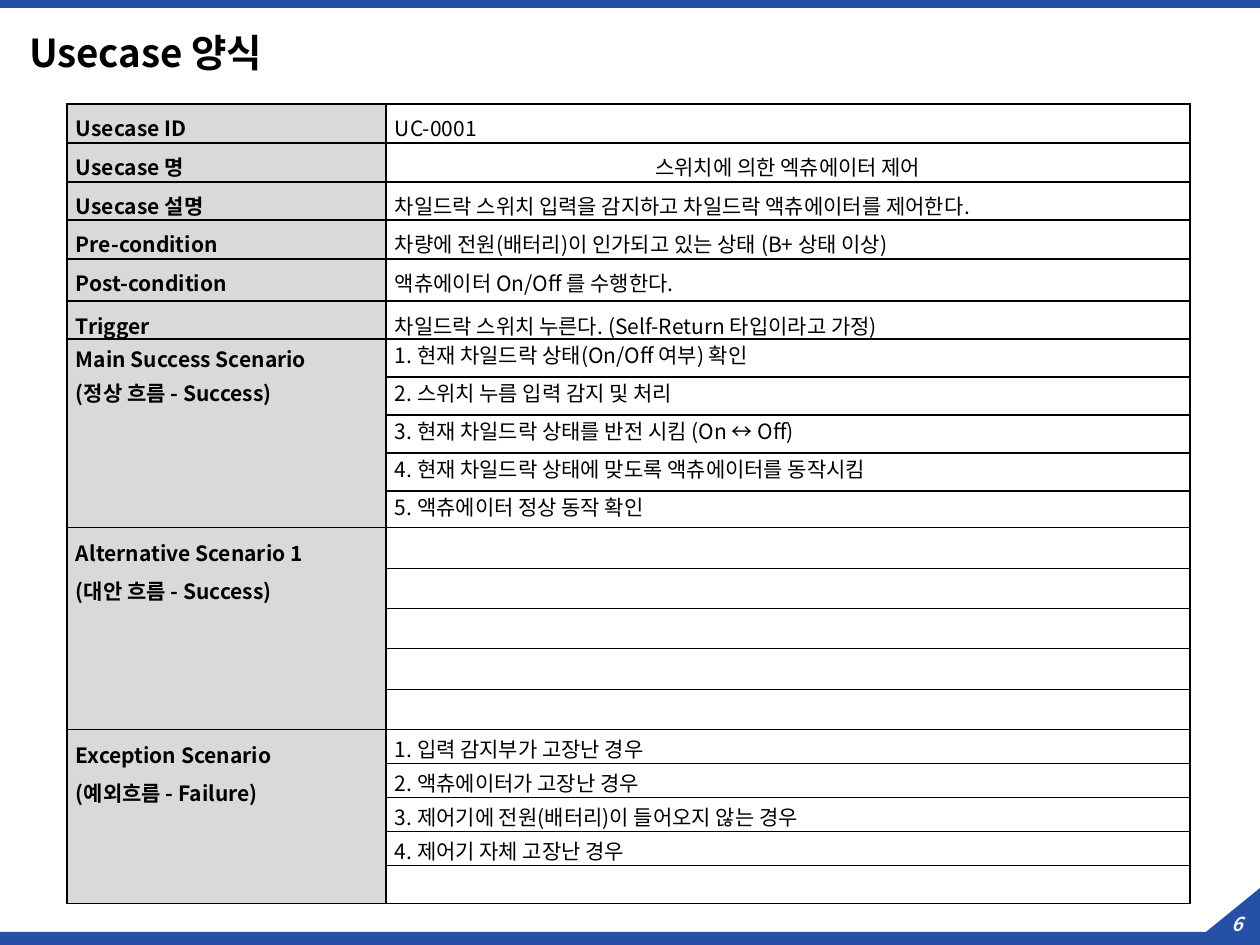
"""Build the use case form slide: a titled two-column table in a blue page frame."""
from lxml import etree
from pptx import Presentation
from pptx.dml.color import RGBColor
from pptx.enum.shapes import MSO_SHAPE
from pptx.enum.text import MSO_ANCHOR, PP_ALIGN
from pptx.oxml.ns import qn
from pptx.util import Emu, Pt

RECTANGLE = MSO_SHAPE.RECTANGLE
MIDDLE = MSO_ANCHOR.MIDDLE
CENTER = PP_ALIGN.CENTER
LEFT = PP_ALIGN.LEFT

FONT = "Noto Sans CJK KR"
BLUE = RGBColor(0x25, 0x50, 0xA6)
GREY = RGBColor(0xD9, 0xD9, 0xD9)
PALE = RGBColor(0xF2, 0xF2, 0xF2)
BLACK = RGBColor(0, 0, 0)

TITLE = "Usecase 양식"
PAGE_NUMBER = "6"

# label, value, row height, top inset
FIELDS = [
    ("Usecase ID", "UC-0001", 39, 8),
    ("Usecase 명", "스위치에 의한 엑츄에이터 제어", 39, 8),
    ("Usecase 설명", "차일드락 스위치 입력을 감지하고 차일드락 액츄에이터를 제어한다.", 38, 8),
    ("Pre-condition", "차량에 전원(배터리)이 인가되고 있는 상태 (B+ 상태 이상)", 39, 8),
    ("Post-condition", "액츄에이터 On/Off 를 수행한다.", 42, 8),
    ("Trigger", "차일드락 스위치 누른다. (Self-Return 타입이라고 가정)", 38, 9),
]
CENTERED_FIELD = "Usecase 명"

SCENARIOS = [
    {
        "label": "Main Success Scenario\n(정상 흐름 - Success)",
        "label_format": {"inset": 10, "before": 5.6, "line": 13.9},
        "steps": [
            "1. 현재 차일드락 상태(On/Off 여부) 확인",
            "2. 스위치 누름 입력 감지 및 처리",
            "3. 현재 차일드락 상태를 반전 시킴 (On ↔ Off)",
            "4. 현재 차일드락 상태에 맞도록 액츄에이터를 동작시킴",
            "5. 액츄에이터 정상 동작 확인",
        ],
        "step_format": {"inset": 6, "before": 3.5, "line": 14.3},
        "heights": [38, 38, 38, 38, 37],
    },
    {
        "label": "Alternative Scenario 1\n(대안 흐름 - Success)",
        "label_format": {"inset": 9},
        "steps": [""] * 5,
        "step_format": {"inset": 0},
        "heights": [41, 40, 40, 41, 40],
    },
    {
        "label": "Exception Scenario\n(예외흐름 - Failure)",
        "label_format": {"inset": 9},
        "steps": [
            "1. 입력 감지부가 고장난 경우",
            "2. 액츄에이터가 고장난 경우",
            "3. 제어기에 전원(배터리)이 들어오지 않는 경우",
            "4. 제어기 자체 고장난 경우",
            "",
        ],
        "step_format": {"inset": 9, "line": 14.2},
        "heights": [33, 33, 33, 33, 38],
    },
]

COLUMN_WIDTHS = [319, 804]
TABLE_LEFT, TABLE_TOP = 67, 104
FOOTER_OUTLINE = [(1260, 888), (1260, 946), (0, 946), (0, 932), (1206, 932)]


def px(length):
    return Emu(round(length * 914400 / 126))


def style_run(run, size, color, bold=False, italic=False):
    font = run.font
    font.name, font.size, font.bold, font.italic = FONT, Pt(size), bold, italic
    font.color.rgb = color
    etree.SubElement(run._r.get_or_add_rPr(), qn("a:ea"), typeface=FONT)


def paint(shape):
    shape.fill.solid()
    shape.fill.fore_color.rgb = BLUE
    shape.line.fill.background()
    shape.shadow.inherit = False


def add_caption(slide, box, text, inset, align, **look):
    frame = slide.shapes.add_textbox(*map(px, box)).text_frame
    frame.word_wrap = True
    frame.vertical_anchor = MIDDLE
    frame.margin_left = frame.margin_right = px(inset)
    frame.margin_top = frame.margin_bottom = 0
    frame.text = text
    paragraph = frame.paragraphs[0]
    paragraph.alignment = align
    style_run(paragraph.runs[0], **look)
    return paragraph


def add_borders(cell):
    properties = cell._tc.get_or_add_tcPr()
    for position, side in enumerate(("a:lnL", "a:lnR", "a:lnT", "a:lnB")):
        border = etree.Element(qn(side), w=str(Pt(0.75)))
        fill = etree.SubElement(border, qn("a:solidFill"))
        etree.SubElement(fill, qn("a:srgbClr"), val=str(BLACK))
        properties.insert(position, border)


def fill_cell(cell, text, inset, before=4.7, line=None, is_label=False, align=LEFT):
    cell.margin_left = cell.margin_right = cell.margin_bottom = 0
    cell.margin_top = px(inset)
    if is_label:
        cell.fill.solid()
        cell.fill.fore_color.rgb = GREY
    else:
        cell.fill.background()
    add_borders(cell)
    cell.text_frame.text = text
    for paragraph in cell.text_frame.paragraphs:
        paragraph.alignment = align
        paragraph.space_before = Pt(before)
        if line:
            paragraph.line_spacing = Pt(line)
        if align == LEFT:
            paragraph._p.get_or_add_pPr().set("marL", str(px(9)))
        for run in paragraph.runs:
            style_run(run, 12, BLACK, bold=is_label)
        if not paragraph.runs:
            paragraph._p.get_or_add_endParaRPr().set("sz", "1200")


def add_form(slide):
    heights = [height for _, _, height, _ in FIELDS]
    heights += [height for scenario in SCENARIOS for height in scenario["heights"]]
    form = slide.shapes.add_table(
        len(heights), len(COLUMN_WIDTHS), px(TABLE_LEFT), px(TABLE_TOP),
        px(sum(COLUMN_WIDTHS)), px(sum(heights))).table
    form.first_row = form.horz_banding = False
    for column, width in zip(form.columns, COLUMN_WIDTHS):
        column.width = px(width)
    for row, height in zip(form.rows, heights):
        row.height = px(height)

    for index, (label, value, _, inset) in enumerate(FIELDS):
        align = CENTER if label == CENTERED_FIELD else LEFT
        fill_cell(form.cell(index, 0), label, inset, is_label=True)
        fill_cell(form.cell(index, 1), value, inset, align=align)

    first = len(FIELDS)
    for scenario in SCENARIOS:
        steps = scenario["steps"]
        for index, step in enumerate(steps, first):
            fill_cell(form.cell(index, 1), step, **scenario["step_format"])
            fill_cell(form.cell(index, 0), "", 0, is_label=True)
        label_cell = form.cell(first, 0)
        label_cell.merge(form.cell(first + len(steps) - 1, 0))
        label_cell.text_frame.text = scenario["label"]
        properties = label_cell._tc.tcPr
        for border in properties.findall(qn("a:lnL")) + properties.findall(qn("a:lnR")) \
                + properties.findall(qn("a:lnT")) + properties.findall(qn("a:lnB")):
            properties.remove(border)
        fill_cell(label_cell, scenario["label"], is_label=True, **scenario["label_format"])
        first += len(steps)


def main():
    deck = Presentation()
    deck.slide_width, deck.slide_height = px(1260), px(945)
    slide = deck.slides.add_slide(deck.slide_layouts[6])

    paint(slide.shapes.add_shape(RECTANGLE, 0, 0, px(1260), px(8)))
    start, *corners = [(px(x), px(y)) for x, y in FOOTER_OUTLINE]
    footer = slide.shapes.build_freeform(*start)
    footer.add_line_segments(corners)
    paint(footer.convert_to_shape())

    add_caption(slide, (1211, 906, 53, 36), PAGE_NUMBER, 0, CENTER,
                size=11, color=PALE, bold=True, italic=True)
    title = add_caption(slide, (16, 26, 1193, 58), TITLE, 13, LEFT,
                        size=22, color=BLACK, bold=True)
    title.line_spacing = 0.9
    add_form(slide)
    deck.save("out.pptx")


if __name__ == "__main__":
    main()
